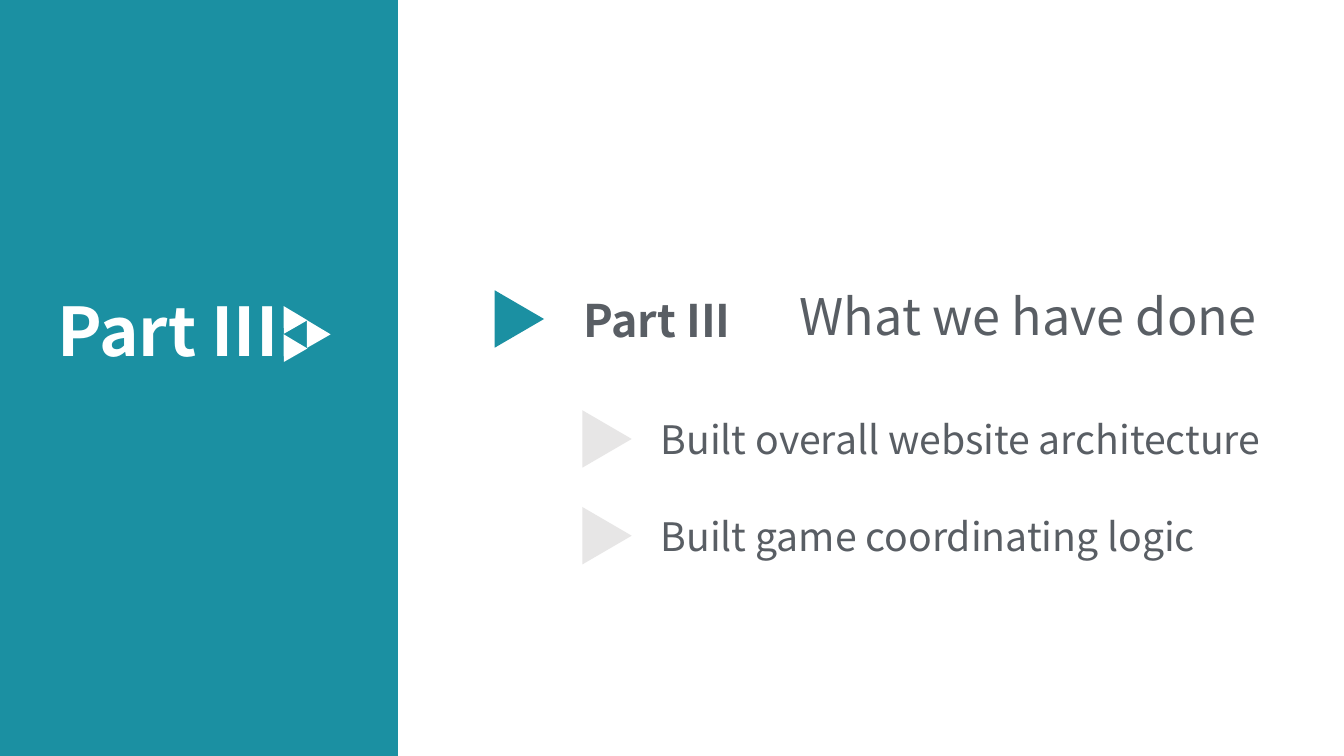
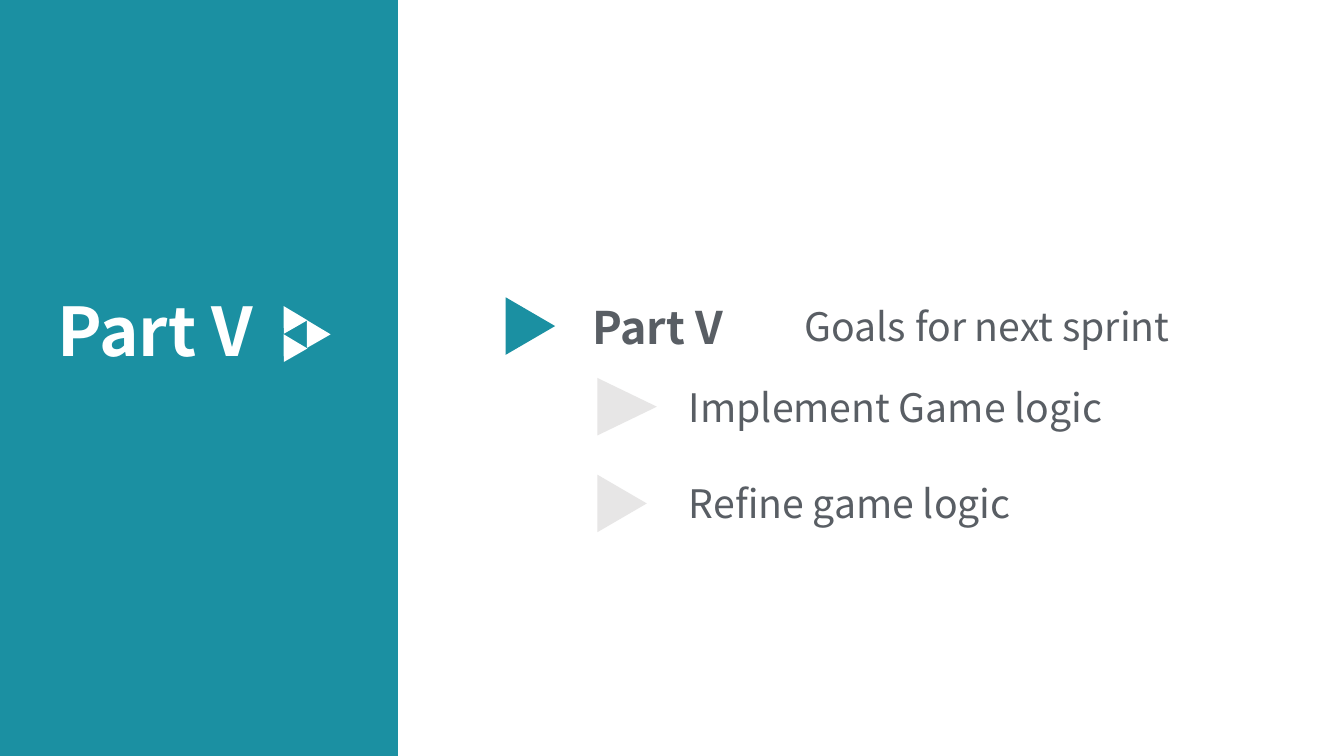
from dataclasses import dataclass

from pptx import Presentation
from pptx.dml.color import RGBColor
from pptx.enum.shapes import MSO_SHAPE as SHAPE
from pptx.enum.text import MSO_AUTO_SIZE as AUTO_SIZE
from pptx.util import Inches, Pt


@dataclass(frozen=True)
class Theme:
    font: str = "Noto Sans CJK SC"
    teal: str = "1B90A2"
    white: str = "FFFFFF"
    grey: str = "595E64"
    pale: str = "E7E6E6"
    title: int = 48
    label: int = 32
    heading: int = 36
    body: int = 28


THEME = Theme()
ARROW_HEIGHT = 0.57
ARROW_LENGTH = 0.49
ITEM_PITCH = 0.96


def add_fill_shape(shapes, kind, x, y, w, h, color, rotation=0):
    s = shapes.add_shape(kind, Inches(x), Inches(y), Inches(w), Inches(h))
    s.shadow.inherit = False
    s.fill.solid()
    s.fill.fore_color.rgb = RGBColor.from_string(color)
    s.line.fill.background()
    s.rotation = rotation
    return s


def add_text(shapes, text, x, y, w, h, size, color=THEME.grey, bold=False):
    s = shapes.add_textbox(Inches(x), Inches(y), Inches(w), Inches(h))
    tf = s.text_frame
    tf.word_wrap = True
    tf.auto_size = AUTO_SIZE.SHAPE_TO_FIT_TEXT
    tf.text = text
    font = tf.paragraphs[0].runs[0].font
    font.name = THEME.font
    font.size = Pt(size)
    font.bold = bold
    font.color.rgb = RGBColor.from_string(color)


def add_arrow(shapes, x, y, color, length=ARROW_LENGTH):
    shift = (length - ARROW_HEIGHT) / 2
    add_fill_shape(shapes, SHAPE.ISOSCELES_TRIANGLE, x + shift, y - shift,
                   ARROW_HEIGHT, length, color, 90)


def add_emblem(shapes):
    group = shapes.add_group_shape().shapes
    for x, y in ((2.74, 3.02), (2.74, 3.3), (2.97, 3.16)):
        add_fill_shape(group, SHAPE.ISOSCELES_TRIANGLE, x, y, 0.27, 0.24,
                       THEME.white, 330.2)


def add_part_slide(prs, part):
    slide = prs.slides.add_slide(prs.slide_layouts[6])
    add_fill_shape(slide.shapes, SHAPE.RECTANGLE, 0, 0, 3.95, 7.5, THEME.teal)
    add_text(slide.shapes, part, 0.47, 2.82, 2.46, 0.9, THEME.title,
             THEME.white, True)
    add_emblem(slide.shapes)
    return slide


def add_heading(slide, part, heading, arrow, label, text, size):
    group = slide.shapes.add_group_shape().shapes
    add_arrow(group, *arrow, THEME.teal)
    add_text(group, part, *label, 2.15, 0.64, THEME.label, bold=True)
    add_text(group, heading, *text, 5.4, 0.7, size)


def add_items(slide, items, arrow_x, text_x, top):
    for i, (text, length) in enumerate(items):
        y = top + i * ITEM_PITCH
        group = slide.shapes.add_group_shape().shapes
        add_arrow(group, arrow_x, y, THEME.pale, length)
        add_text(group, text, text_x, y, 6.5, 0.57, THEME.body)


def main():
    prs = Presentation()
    prs.slide_width = Inches(13.34)
    prs.slide_height = Inches(7.5)

    done = add_part_slide(prs, "Part III")
    add_heading(done, "Part III", "What we have done", (4.91, 2.88),
                (5.69, 2.85), (7.84, 2.78), THEME.heading)
    add_items(done, (("Built overall website architecture", ARROW_LENGTH),
                     ("Built game coordinating logic", ARROW_LENGTH)),
              5.78, 6.46, 4.07)

    goals = add_part_slide(prs, "Part V")
    add_heading(goals, "Part V", "Goals for next sprint", (5.02, 2.95),
                (5.78, 2.92), (7.89, 2.95), THEME.body)
    add_items(goals, (("Implement Game logic", 0.59),
                      ("Refine game logic", ARROW_LENGTH)),
              5.93, 6.74, 3.75)

    prs.save("out.pptx")


if __name__ == "__main__":
    main()
